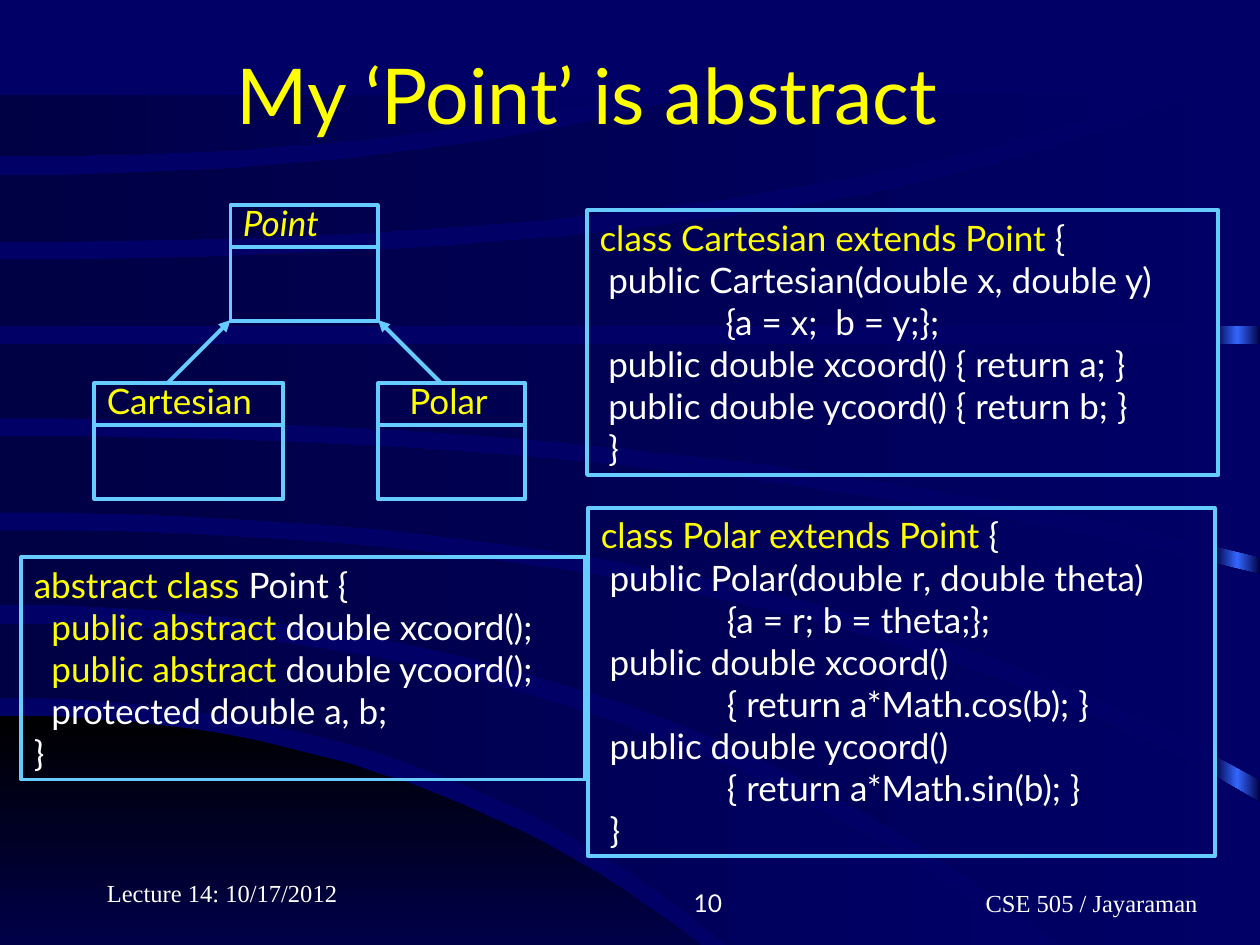
from lxml.etree import SubElement
from pptx import Presentation
from pptx.dml.color import RGBColor as RGB
from pptx.enum.shapes import MSO_CONNECTOR as CONN, MSO_SHAPE as SHAPE
from pptx.enum.text import MSO_ANCHOR as ANCHOR, MSO_AUTO_SIZE as FIT, PP_ALIGN as ALIGN
from pptx.oxml.ns import qn
from pptx.util import Cm, Pt

THEME = {
    "bg": "000066", "dark": "000044", "glow": "3366FF", "black": "000000",
    "shade": "000048", "line": "66CCFF", "key": "FFFF00", "text": "FFFFFF",
    "sans": "Lato", "serif": "Times New Roman",
    "title": 44, "code": 20, "footer": 14, "rule": 2.25,
}
INCH = 2.54
FLUSH, STEP, DEEP, TAB = 0, 0.07, 0.14, 1

TITLE = ("My ‘Point’ is abstract", (1.78, 0.33, 6.05, 0.84))

PANELS = [
    (4.66, 1.67, 5.01, [
        (FLUSH, "class Cartesian extends Point", " {"),
        (STEP, "", "public Cartesian(double x, double y)"),
        (TAB, "", "{a = x;  b = y;};"),
        (STEP, "", "public double xcoord() { return a; }"),
        (STEP, "", "public double ycoord() { return b; }"),
        (STEP, "", "}")]),
    (4.67, 4.03, 4.97, [
        (FLUSH, "class Polar extends Point", " {"),
        (STEP, "", "public Polar(double r, double theta)"),
        (TAB, "", "{a = r; b = theta;};"),
        (STEP, "", "public double xcoord()"),
        (TAB, "", "{ return a*Math.cos(b); }"),
        (STEP, "", "public double ycoord()"),
        (TAB, "", "{ return a*Math.sin(b); }"),
        (STEP, "", "}")]),
    (0.17, 4.42, 4.47, [
        (FLUSH, "abstract class", " Point {"),
        (DEEP, "public abstract", " double xcoord();"),
        (DEEP, "public abstract", " double ycoord();"),
        (DEEP, "", "protected double a, b;"),
        (FLUSH, "", "}")]),
]

CLASSES = [
    ("Point", 1.83, 1.63, 1.17, 0, True),
    ("Cartesian", 0.75, 3.04, 1.5, 0, False),
    ("Polar", 3, 3.04, 1.17, 0.15, False),
]
CLASS_H, DIVIDER, LABEL_UP, LABEL_H = 0.92, 0.33, 0.08, 0.44
ARROW_TOP, ARROW_BOTTOM = 2.54, 3.04
ARROWS = [(1.33, 1.83), (3.5, 3)]

FOOTER_H = 0.5
FOOTERS = [
    ("CSE 505 / Jayaraman", 6.58, 6.83, 3.17, "serif", ALIGN.CENTER, TAB),
    ("10", 3.75, 6.83, 2.08, "sans", ALIGN.RIGHT, FLUSH),
    ("Lecture 14: 10/17/2012", 0.75, 6.75, 2.08, "serif", ALIGN.LEFT, FLUSH),
]

STRIP = (9.64, 0.77, 0.36, 6.73)
CORNER = (5.68, 3.22, 5.56, 7.5)
BANDS = [
    ((4.95, 4.8, 8.2, 7.5), (5.54, 3.45, 5.77, 7.5), []),
    ((4.21, 6.32, 10, 6.37), (4.8, 5.05, 8.42, 7.5), [(10, 7.5)]),
    ((3.46, 5.56, 10, 4.56), (4.07, 6.32, 10, 6.19), []),
    ((2.73, 5, 10, 2.73), (3.32, 5.6, 10, 4.42), []),
    ((2.06, 6.72, 9.44, 0.75), (2.59, 5, 10, 2.59), [(10, 0.75)]),
    ((1.39, 3.22, 5.57, 0.75), (1.92, 6.11, 9.18, 0.75), []),
    ((0.75, 2.5, 5.02, 0.75), (1.24, 2.99, 5.02, 0.75), []),
]
CURVE_STEPS = 24


def cm(*inches):
    return [Cm(v * INCH) for v in inches]


def colour(key):
    return RGB.from_string(THEME[key])


def put(obj, **values):
    for name, value in values.items():
        setattr(obj, name, value)


def curve(start_y, bend_x, end_x, end_y):
    ts = [i / CURVE_STEPS for i in range(CURVE_STEPS + 1)]
    return [(2 * t * (1 - t) * bend_x + t * t * end_x,
             start_y + t * t * (end_y - start_y)) for t in ts]


def polygon(shapes, points):
    first, *rest = [(x * 100, y * 100) for x, y in points]
    builder = shapes.build_freeform(*first, scale=Cm(INCH / 100))
    builder.add_line_segments(rest, close=True)
    return builder.convert_to_shape()


def gradient(sp, keys, angle=0):
    sp.shadow.inherit = False
    sp.line.fill.background()
    sp.fill.gradient()
    sp.fill.gradient_angle = angle
    stops = sp.element.spPr.find(".//" + qn("a:gsLst"))
    stops.clear()
    for i, key in enumerate(keys):
        gs = SubElement(stops, qn("a:gs"), pos=str(100000 * i // (len(keys) - 1)))
        SubElement(gs, qn("a:srgbClr"), val=THEME[key])


def stroke(sp):
    sp.line.width = Pt(THEME["rule"])
    sp.line.color.rgb = colour("line")


def outline(shapes, box):
    sp = shapes.add_shape(SHAPE.RECTANGLE, *cm(*box))
    sp.shadow.inherit = False
    sp.fill.background()
    stroke(sp)
    return sp


def connect(shapes, ends, arrow=False):
    cx = shapes.add_connector(CONN.STRAIGHT, *cm(*ends))
    stroke(cx)
    spPr = cx.element.spPr
    if arrow:
        SubElement(spPr.find(qn("a:ln")), qn("a:tailEnd"), type="triangle")
    SubElement(spPr, qn("a:effectLst"))


def write(sp, lines, size="code", font="sans", align=ALIGN.LEFT, anchor=ANCHOR.TOP, italic=False):
    tf = sp.text_frame
    side, edge = cm(0.1, 0.05)
    put(tf, word_wrap=True, auto_size=FIT.NONE, vertical_anchor=anchor,
        margin_left=side, margin_right=side, margin_top=edge, margin_bottom=edge)
    for i, (indent, *parts) in enumerate(lines):
        p = tf.add_paragraph() if i else tf.paragraphs[0]
        put(p, alignment=align, space_before=Pt(0), line_spacing=1.0)
        p._p.get_or_add_pPr().set("marL", str(cm(indent)[0]))
        for key, text in zip(("key", "text"), parts):
            if text:
                r = p.add_run()
                r.text = text
                put(r.font, size=Pt(THEME[size]), name=THEME[font], italic=italic)
                r.font.color.rgb = colour(key)


def main():
    prs = Presentation()
    put(prs, slide_width=Cm(10 * INCH), slide_height=Cm(7.5 * INCH))
    s = prs.slides.add_slide(prs.slide_layouts[5])
    s.background.fill.solid()
    s.background.fill.fore_color.rgb = colour("bg")
    shapes = s.shapes

    gradient(shapes.add_shape(SHAPE.RECTANGLE, *cm(*STRIP)), ("dark", "glow", "dark"))
    gradient(polygon(shapes, curve(*CORNER) + [(0, 7.5)]), ("black", "shade"), 270)
    for upper, lower, corner in BANDS:
        gradient(polygon(shapes, curve(*upper) + corner + curve(*lower)[::-1]), ("dark", "bg"))

    text, box = TITLE
    title = shapes.title
    put(title, **dict(zip(("left", "top", "width", "height"), cm(*box))))
    write(title, [(FLUSH, text)], "title")
    shapes.element.append(title.element)

    for x, y, w, lines in PANELS:
        write(outline(shapes, (x, y, w, 0.1 + len(lines) / 3)), lines)

    for name, x, y, w, shift, italic in CLASSES:
        outline(shapes, (x, y, w, CLASS_H))
        connect(shapes, (x, y + DIVIDER, x + w, y + DIVIDER))
        label = shapes.add_textbox(*cm(x + shift, y - LABEL_UP, w - shift, LABEL_H))
        write(label, [(FLUSH, name)], italic=italic)
    for start, end in ARROWS:
        connect(shapes, (start, ARROW_BOTTOM, end, ARROW_TOP), arrow=True)

    for text, x, y, w, font, align, indent in FOOTERS:
        box = shapes.add_textbox(*cm(x, y, w, FOOTER_H))
        write(box, [(indent, "", text)], "footer", font, align, ANCHOR.BOTTOM)
    prs.save("out.pptx")


if __name__ == "__main__":
    main()
